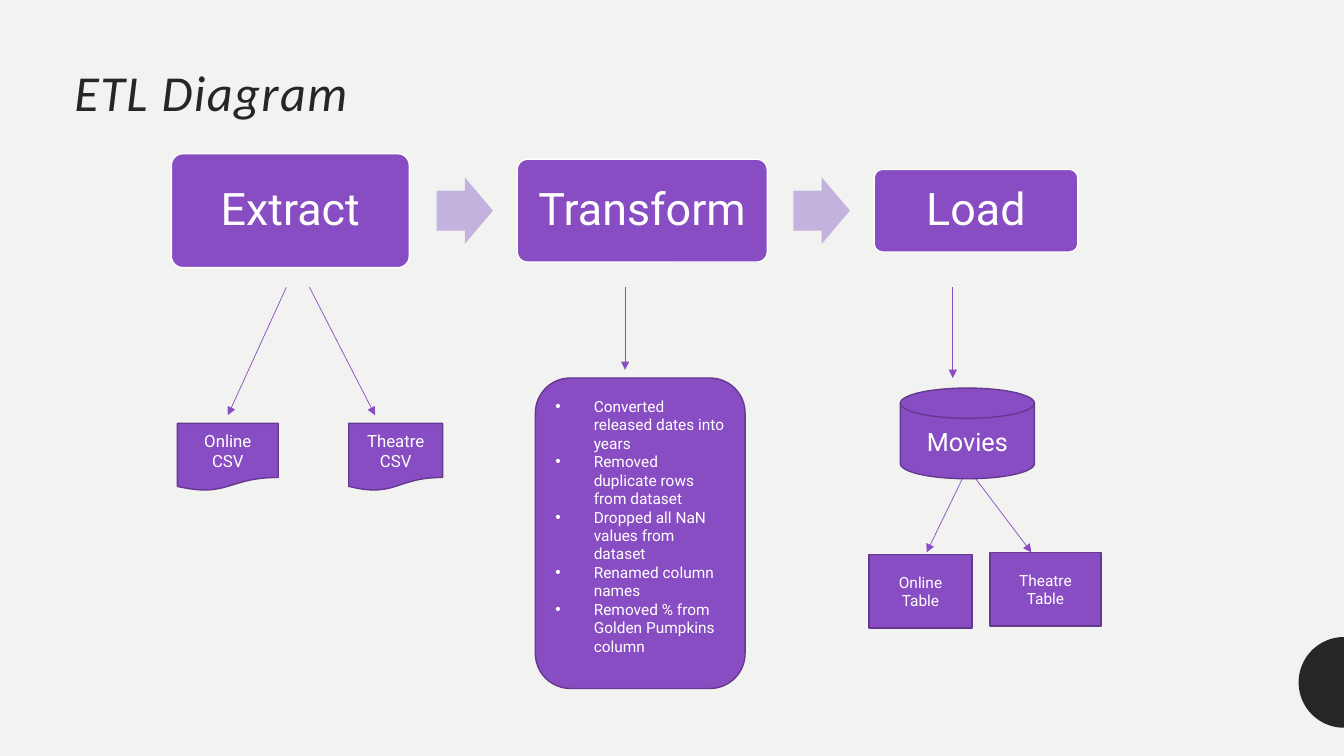
import math
from dataclasses import dataclass

from lxml import etree
from pptx import Presentation
from pptx.dml.color import RGBColor
from pptx.enum.shapes import MSO_CONNECTOR, MSO_SHAPE
from pptx.enum.text import MSO_ANCHOR, PP_ALIGN
from pptx.oxml.ns import qn
from pptx.util import Inches, Pt

STRAIGHT = MSO_CONNECTOR.STRAIGHT
ROUNDED, ARROW, RECT = MSO_SHAPE.ROUNDED_RECTANGLE, MSO_SHAPE.RIGHT_ARROW, MSO_SHAPE.RECTANGLE
DOCUMENT, DISK = MSO_SHAPE.FLOWCHART_DOCUMENT, MSO_SHAPE.FLOWCHART_MAGNETIC_DISK
MIDDLE = MSO_ANCHOR.MIDDLE
LEFT, CENTER = PP_ALIGN.LEFT, PP_ALIGN.CENTER


@dataclass(frozen=True)
class Theme:
    background: str = "F2F3F0"
    dark: str = "262626"
    purple: str = "894DC3"
    purple_edge: str = "653990"
    lilac: str = "C4B2DE"
    white: str = "FFFFFF"
    heading_font: str = "Calibri"
    body_font: str = "Roboto"
    title_size: int = 36
    step_size: int = 32
    database_size: int = 18
    file_size: int = 12
    detail_size: int = 11


THEME = Theme()
SLIDE_W, SLIDE_H = 13.33, 7.5
INDENT = 0.38

CLEANING = [
    "Converted released dates into years",
    "Removed duplicate rows from dataset",
    "Dropped all NaN values from dataset",
    "Renamed column names",
    "Removed % from Golden Pumpkins column",
]


def rgb(value):
    return RGBColor.from_string(value)


def write(tf, lines, size, font=THEME.body_font, color=THEME.white, align=CENTER,
          italic=None, spacing=None, tracking=None, bullet=None):
    """Fill a text frame with one paragraph per line."""
    tf.word_wrap = True
    tf.vertical_anchor = MIDDLE
    for i, line in enumerate(lines):
        p = tf.paragraphs[0] if i == 0 else tf.add_paragraph()
        p.alignment = align
        if spacing:
            p.line_spacing = spacing
        r = p.add_run()
        r.text = line
        r.font.name, r.font.size, r.font.italic = font, Pt(size), italic
        r.font.color.rgb = rgb(color)
        if tracking:
            r.font._element.set("spc", str(tracking * 100))
        if bullet:
            pPr = p._p.get_or_add_pPr()
            pPr.set("marL", str(Inches(INDENT)))
            pPr.set("indent", str(-Inches(INDENT)))
            etree.SubElement(pPr, qn("a:buFont")).set("typeface", "Arial")
            etree.SubElement(pPr, qn("a:buChar")).set("char", bullet)


def paint(sp, fill, line=None):
    sp.shadow.inherit = False
    sp.fill.solid()
    sp.fill.fore_color.rgb = rgb(fill)
    if line:
        sp.line.color.rgb = rgb(line)
        sp.line.width = Pt(1)
    else:
        sp.line.fill.background()


def add_shape(s, kind, box, fill=THEME.purple, line=THEME.purple_edge):
    sp = s.shapes.add_shape(kind, *map(Inches, box))
    paint(sp, fill, line)
    return sp


def add_node(s, kind, box, lines, size):
    sp = add_shape(s, kind, box)
    write(sp.text_frame, lines, size)


def add_arrow(s, start, end):
    cx = s.shapes.add_connector(STRAIGHT, *map(Inches, (*start, *end)))
    cx.line.color.rgb = rgb(THEME.purple)
    cx.line.width = Pt(0.5)
    etree.SubElement(cx.line._get_or_add_ln(), qn("a:tailEnd")).set("type", "triangle")
    etree.SubElement(cx._element.spPr, qn("a:effectLst"))


def add_half_disc(s, cy, radius):
    """Draw the half disc that is cut by the right edge of the slide."""
    angles = [math.pi * (0.5 + i / 48) for i in range(49)]
    points = [(Inches(SLIDE_W + radius * math.cos(a)), Inches(cy + radius * math.sin(a)))
              for a in angles]
    builder = s.shapes.build_freeform(*points[0])
    builder.add_line_segments(points[1:], close=True)
    paint(builder.convert_to_shape(), THEME.dark)


def add_title(s, box, text):
    tf = s.shapes.add_textbox(*map(Inches, box)).text_frame
    write(tf, [text], THEME.title_size, font=THEME.heading_font, color=THEME.dark,
          align=LEFT, italic=True, spacing=0.9, tracking=1)


def add_steps(s, cy):
    """Draw the three steps and the arrows between them, centred on cy."""
    steps = [("Extract", 1.7, 2.36, 1.13), ("Transform", 5.13, 2.48, 1.02),
             ("Load", 8.67, 2.02, 0.82)]
    arrow_w, arrow_h, gap = 0.56, 0.66, 0.24
    for i, (name, x, w, h) in enumerate(steps):
        if i:
            arrow = add_shape(s, ARROW, (x - gap - arrow_w, cy - arrow_h / 2, arrow_w, arrow_h),
                              fill=THEME.lilac, line=None)
            arrow.adjustments[0] = 0.6
        sp = add_shape(s, ROUNDED, (x, cy - h / 2, w, h), line=THEME.white)
        sp.adjustments[0] = 0.1
        tf = sp.text_frame
        tf.margin_left = tf.margin_right = tf.margin_top = tf.margin_bottom = Inches(0.13)
        write(tf, [name], THEME.step_size, spacing=0.9)


def add_extract(s, x, y):
    add_arrow(s, (x + 1.08, y), (x + 0.5, y + 1.27))
    add_arrow(s, (x + 1.31, y), (x + 1.96, y + 1.27))
    for name, dx, w in [("Online CSV", 0, 1), ("Theatre CSV", 1.7, 0.93)]:
        add_node(s, DOCUMENT, (x + dx, y + 1.35, w, 0.67), [name], THEME.file_size)


def add_transform(s, x, y):
    add_arrow(s, (x + 0.89, y), (x + 0.89, y + 0.82))
    sp = add_shape(s, ROUNDED, (x, y + 0.9, 2.08, 3.08))
    sp.text_frame.margin_bottom = Inches(0.19)
    write(sp.text_frame, CLEANING, THEME.detail_size, align=LEFT, bullet="•")


def add_load(s, x, y):
    add_arrow(s, (x + 0.83, y), (x + 0.83, y + 0.9))
    add_arrow(s, (x + 1.09, y + 1.56), (x + 0.57, y + 2.63))
    add_arrow(s, (x + 0.86, y + 1.64), (x + 1.61, y + 2.63))
    add_node(s, DISK, (x + 0.31, y + 1, 1.33, 0.9), ["Movies"], THEME.database_size)
    add_node(s, RECT, (x, y + 2.65, 1.02, 0.73), ["Online Table"], THEME.detail_size)
    add_node(s, RECT, (x + 1.2, y + 2.63, 1.1, 0.73), ["Theatre", "Table"], THEME.detail_size)


def main():
    prs = Presentation()
    prs.slide_width, prs.slide_height = Inches(SLIDE_W), Inches(SLIDE_H)
    s = prs.slides.add_slide(prs.slide_layouts[6])
    s.background.fill.solid()
    s.background.fill.fore_color.rgb = rgb(THEME.background)

    add_half_disc(s, cy=6.77, radius=0.45)
    add_steps(s, cy=2.09)
    add_title(s, (0.64, 0.62, 4.19, 0.64), "ETL Diagram")
    detail_top = 2.85
    add_extract(s, 1.76, detail_top)
    add_transform(s, 5.31, detail_top)
    add_load(s, 8.62, detail_top)
    prs.save("out.pptx")


if __name__ == "__main__":
    main()
